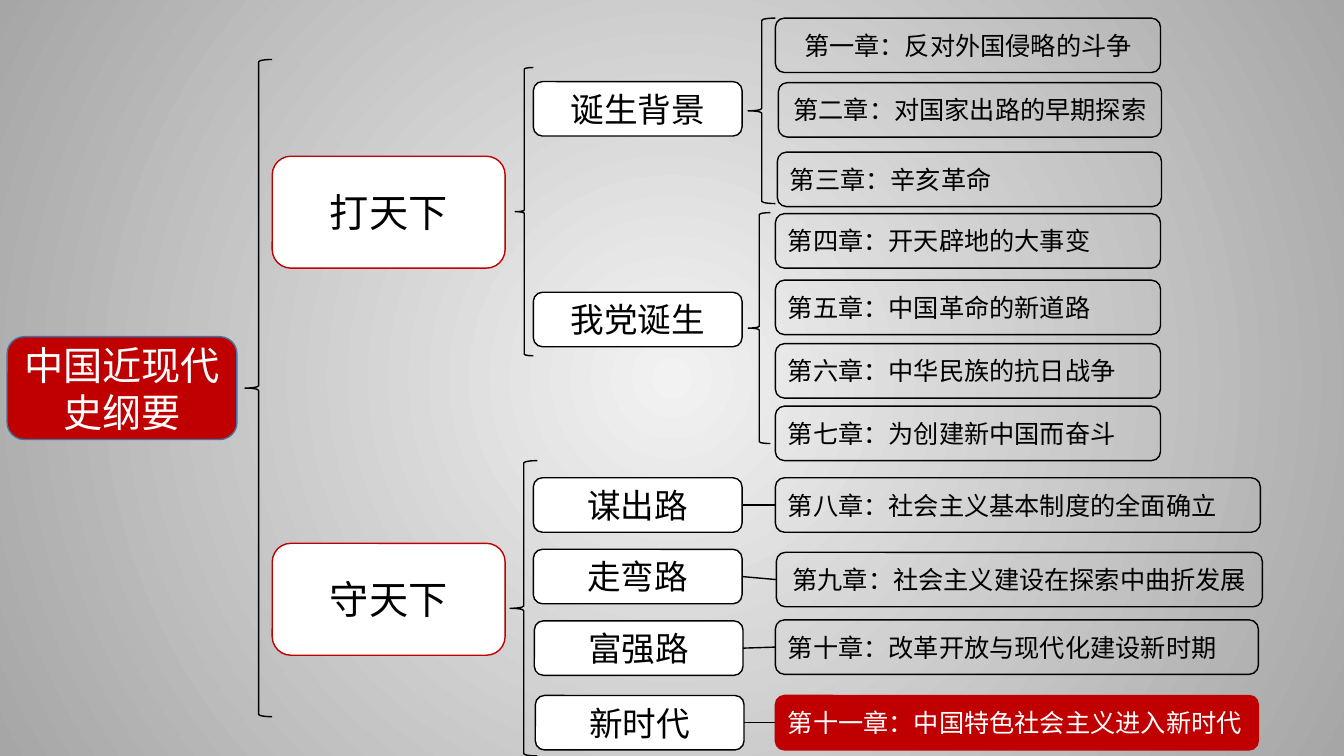
from dataclasses import dataclass

from lxml.etree import SubElement
from pptx import Presentation
from pptx.dml.color import RGBColor
from pptx.enum.shapes import MSO_CONNECTOR, MSO_SHAPE
from pptx.enum.text import MSO_ANCHOR, PP_ALIGN
from pptx.oxml.ns import qn
from pptx.util import Inches, Pt


@dataclass(frozen=True)
class Theme:
    font: str = "Noto Sans CJK SC"
    black: str = "000000"
    white: str = "FFFFFF"
    red: str = "C00000"
    blue: str = "43739E"
    glow: str = "F2F2F2"
    edge: str = "A6A6A6"
    part_size: int = 28
    stage_size: int = 24
    chapter_size: int = 18
    line_width: int = 1


THEME = Theme()
NODE_HEIGHT = 0.54
STAGE_WIDTH = 2.07
PART_LEFT, PART_WIDTH, PART_HEIGHT = 2.7, 2.31, 1.11
LEFT_SITE, RIGHT_SITE = 1, 3

PARTS = [("打天下", 1.55), ("守天下", 5.39)]

# Left, top, width, height
BRACES = [
    (2.43, 0.59, 0.27, 6.52),
    (5.11, 0.67, 0.18, 2.86),
    (5.06, 4.57, 0.27, 2.93),
    (7.42, 0.18, 0.27, 1.84),
    (7.42, 2.11, 0.22, 2.29),
]

# Text, left, top
BRACED_STAGES = [("诞生背景", 5.29, 0.81), ("我党诞生", 5.29, 2.9)]

# Text, left, top, width, alignment
BRACED_CHAPTERS = [
    ("第一章：反对外国侵略的斗争", 7.69, 0.18, 3.82, PP_ALIGN.CENTER),
    ("第二章：对国家出路的早期探索", 7.72, 0.82, 3.8, PP_ALIGN.CENTER),
    ("第三章：辛亥革命", 7.71, 1.51, 3.81, PP_ALIGN.LEFT),
    ("第四章：开天辟地的大事变", 7.69, 2.12, 3.82, PP_ALIGN.LEFT),
    ("第五章：中国革命的新道路", 7.69, 2.78, 3.82, PP_ALIGN.LEFT),
    ("第六章：中华民族的抗日战争", 7.69, 3.41, 3.82, PP_ALIGN.LEFT),
    ("第七章：为创建新中国而奋斗", 7.69, 4.03, 3.82, PP_ALIGN.LEFT),
]

# Each stage with the one chapter it leads to
LINKED_ROWS = [
    (("谋出路", 5.29, 4.74),
     ("第八章：社会主义基本制度的全面确立", 7.69, 4.74, 4.81, PP_ALIGN.LEFT), {}),
    (("走弯路", 5.29, 5.45),
     ("第九章：社会主义建设在探索中曲折发展", 7.7, 5.48, 4.82, PP_ALIGN.CENTER), {}),
    (("富强路", 5.3, 6.16),
     ("第十章：改革开放与现代化建设新时期", 7.69, 6.15, 4.79, PP_ALIGN.LEFT), {}),
    (("新时代", 5.31, 6.9),
     ("第十一章：中国特色社会主义进入新时代", 7.69, 6.9, 4.79, PP_ALIGN.LEFT),
     {"fill": THEME.red, "line": THEME.red, "color": THEME.white}),
]


def rgb(value):
    return RGBColor.from_string(value)


def paint_background(slide):
    """Fill the slide with a gradient that spreads from its centre."""
    fill = slide.background.fill
    fill.gradient()
    for stop, color in zip(fill.gradient_stops, (THEME.glow, THEME.edge)):
        stop.color.rgb = rgb(color)
    gradient = next(slide.element.iter(qn("a:gradFill")))
    gradient.remove(gradient.find(qn("a:lin")))
    spread = SubElement(gradient, qn("a:path"), {"path": "circle"})
    sides = {side: "50000" for side in "ltrb"}
    SubElement(spread, qn("a:fillToRect"), sides)


def write_text(frame, text, size, color=THEME.black, align=PP_ALIGN.CENTER):
    frame.word_wrap = True
    frame.vertical_anchor = MSO_ANCHOR.MIDDLE
    paragraph = frame.paragraphs[0]
    paragraph.alignment = align
    run = paragraph.add_run()
    run.text = text
    run.font.name = THEME.font
    run.font.size = Pt(size)
    run.font.color.rgb = rgb(color)
    SubElement(run.font._element, qn("a:ea"), {"typeface": THEME.font})


def add_outline(slide, preset, box, fill=None, line=THEME.black):
    outline = slide.shapes.add_shape(preset, *(Inches(length) for length in box))
    outline.shadow.inherit = False
    if fill:
        outline.fill.solid()
        outline.fill.fore_color.rgb = rgb(fill)
    else:
        outline.fill.background()
    outline.line.color.rgb = rgb(line)
    outline.line.width = Pt(THEME.line_width)
    return outline


def add_node(slide, text, box, size, fill=None, line=THEME.black, **text_format):
    node = add_outline(slide, MSO_SHAPE.ROUNDED_RECTANGLE, box, fill, line)
    write_text(node.text_frame, text, size, **text_format)
    return node


def add_stage(slide, text, left, top):
    box = (left, top, STAGE_WIDTH, NODE_HEIGHT)
    return add_node(slide, text, box, THEME.stage_size, fill=THEME.white)


def add_chapter(slide, text, left, top, width, align, **colors):
    box = (left, top, width, NODE_HEIGHT)
    return add_node(slide, text, box, THEME.chapter_size, align=align, **colors)


def link(slide, chapter, stage):
    connector = slide.shapes.add_connector(MSO_CONNECTOR.STRAIGHT, 0, 0, 0, 0)
    connector.begin_connect(chapter, LEFT_SITE)
    connector.end_connect(stage, RIGHT_SITE)
    connector.line.color.rgb = rgb(THEME.black)
    connector.line.width = Pt(THEME.line_width)
    SubElement(connector._element.spPr, qn("a:effectLst"))


def main():
    presentation = Presentation()
    presentation.slide_width = Inches(13.33)
    presentation.slide_height = Inches(7.5)
    slide = presentation.slides.add_slide(presentation.slide_layouts[6])
    paint_background(slide)

    add_node(slide, "中国近现代史纲要", (0.07, 3.34, 2.28, 1.02), THEME.part_size,
             fill=THEME.red, line=THEME.blue, color=THEME.white)
    for text, top in PARTS:
        add_node(slide, text, (PART_LEFT, top, PART_WIDTH, PART_HEIGHT),
                 THEME.part_size, fill=THEME.white, line=THEME.red)
    for box in BRACES:
        add_outline(slide, MSO_SHAPE.LEFT_BRACE, box)
    for stage in BRACED_STAGES:
        add_stage(slide, *stage)
    for chapter in BRACED_CHAPTERS:
        add_chapter(slide, *chapter)
    for stage, chapter, colors in LINKED_ROWS:
        stage_node = add_stage(slide, *stage)
        chapter_node = add_chapter(slide, *chapter, **colors)
        link(slide, chapter_node, stage_node)

    presentation.save("out.pptx")


if __name__ == "__main__":
    main()
